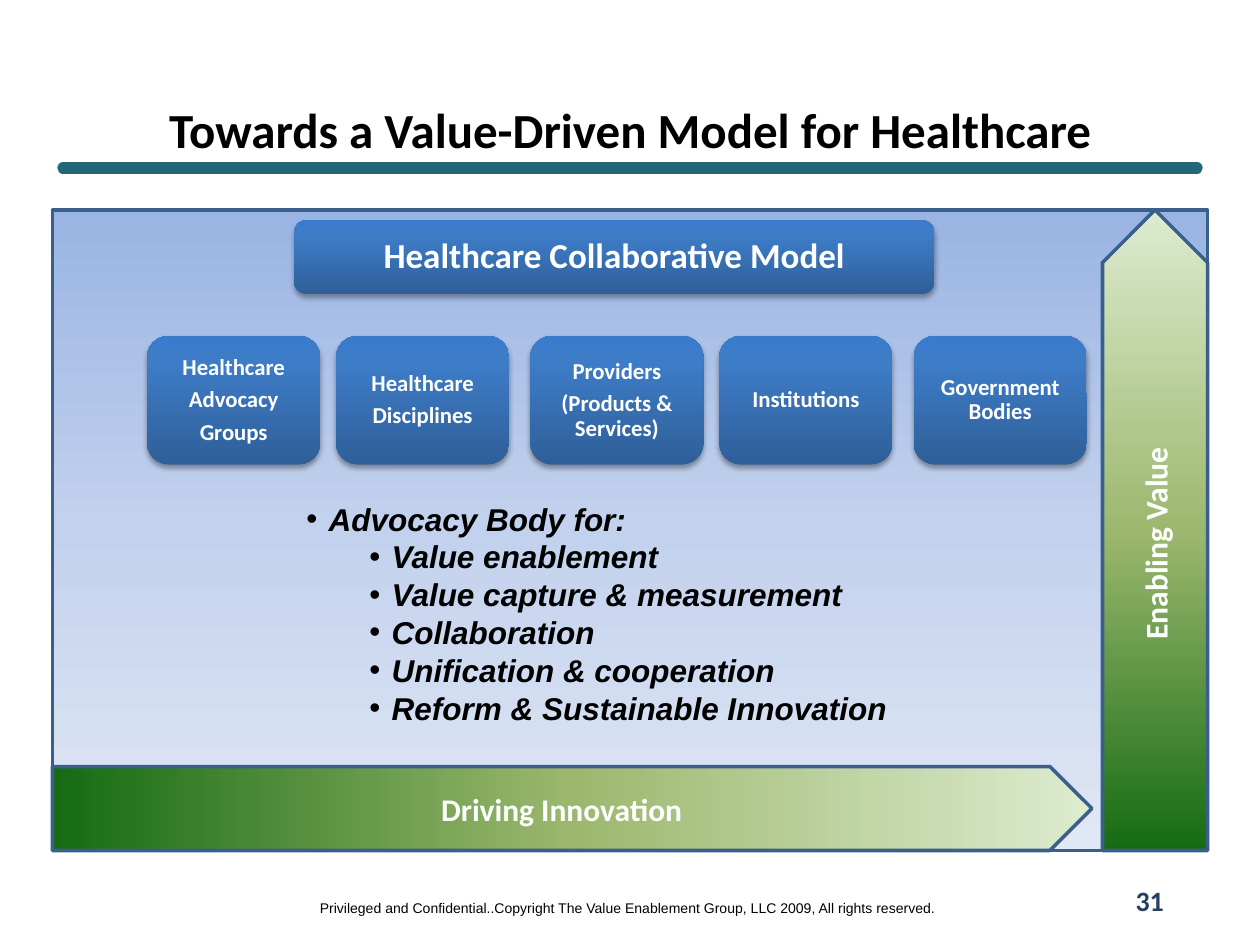
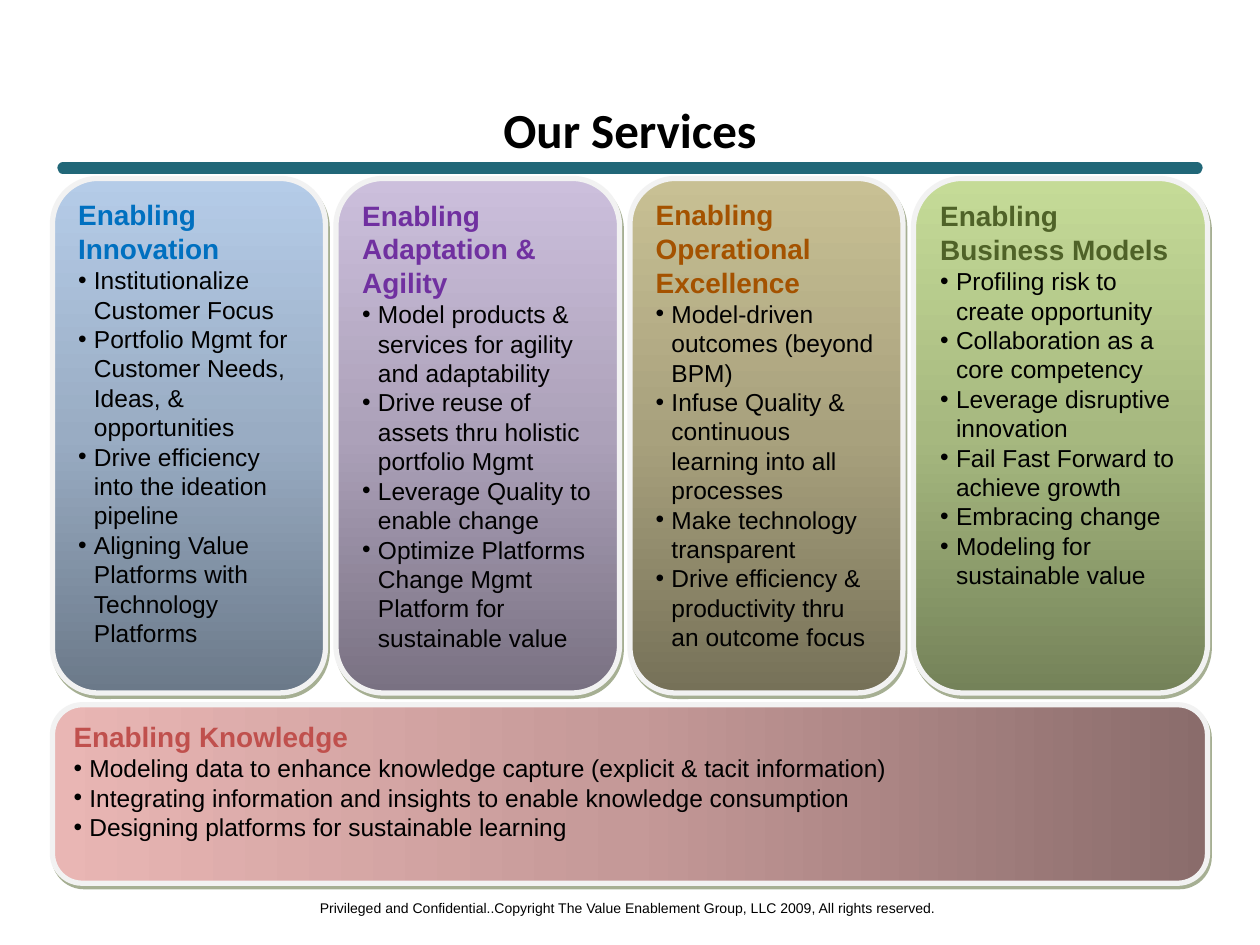
from lxml import etree
from pptx import Presentation
from pptx import util as u
from pptx.dml.color import RGBColor
from pptx.enum import shapes, text
from pptx.oxml.ns import nsdecls, qn

PX = 9525  # EMU in one px, 96 px to the inch

BLACK = RGBColor(0x00, 0x00, 0x00)
WHITE = RGBColor(0xFF, 0xFF, 0xFF)
TEAL = RGBColor(0x21, 0x67, 0x78)
NAVY = RGBColor(0x25, 0x40, 0x61)
OUTLINE = RGBColor(0x3A, 0x5F, 0x8C)
PALE_GREY = RGBColor(0xF2, 0xF2, 0xF2)
DARK_OLIVE = RGBColor(0x4E, 0x61, 0x28)
BLUE = RGBColor(0x00, 0x70, 0xC0)
PURPLE = RGBColor(0x70, 0x30, 0xA0)
BROWN = RGBColor(0xA4, 0x52, 0x00)
OLIVE = RGBColor(0x4F, 0x62, 0x28)
RED = RGBColor(0xC0, 0x50, 0x4D)


def ramp(*codes, middle=50):
    """Three gradient stops as (percent, colour)."""
    return list(zip((0, middle, 100), map(RGBColor.from_string, codes)))


PANEL_FILL = ramp("9AB5E4", "C2D1ED", "E1E8F5")
BUTTON_FILL = ramp("2F5F99", "3D7CC7", "3A7CCB", middle=80)
ARROW_FILL = ramp("DDEBCF", "9CB86E", "156B13")
BLUE_FILL = ramp("6B7989", "99ACC3", "B5CCE8")
PURPLE_FILL = ramp("797182", "ACA1B9", "CCBFDC")
BROWN_FILL = ramp("767158", "A8A17D", "C8C094")
GREEN_FILL = ramp("748259", "A6B87F", "C5DB97")
RED_FILL = ramp("8A6C6B", "C59998", "E9B6B4")

# Shadows: colour, opacity %, blur pt, distance pt, direction in degrees
BUTTON_SHADOW = (BLACK, 35, 3.1, 1.8, 90)
SERVICE_SHADOW = (DARK_OLIVE, 50, 0, 2.2, 63)

FOOTER = ("Privileged and Confidential..Copyright The Value Enablement Group, LLC 2009, "
          "All rights reserved.")

STAKEHOLDERS = [  # left, paragraphs
    (112, ["Healthcare", "Advocacy", "Groups"]),
    (256, ["Healthcare", "Disciplines"]),
    (404, ["Providers", "(Products & Services)"]),
    (548, ["Institutions"]),
    (696, ["Government Bodies"]),
]

ADVOCACY_GOALS = ["Value enablement", "Value capture & measurement", "Collaboration",
                  "Unification & cooperation", "Reform & Sustainable Innovation"]

SERVICES = [  # width, fill, heading colour, heading, points
    (208, BLUE_FILL, BLUE, "Enabling Innovation",
     ["Institutionalize Customer Focus",
      "Portfolio Mgmt for Customer Needs, Ideas, & opportunities",
      "Drive efficiency into the ideation pipeline",
      "Aligning Value Platforms with Technology Platforms"]),
    (216, PURPLE_FILL, PURPLE, "Enabling Adaptation & Agility",
     ["Model products & services for agility and adaptability",
      "Drive reuse of assets thru holistic portfolio Mgmt",
      "Leverage Quality to enable change",
      "Optimize Platforms Change Mgmt Platform for sustainable value"]),
    (208, BROWN_FILL, BROWN, "Enabling Operational Excellence",
     ["Model-driven outcomes (beyond BPM)",
      "Infuse Quality & continuous learning into all processes",
      "Make technology transparent",
      "Drive efficiency & productivity thru an outcome focus"]),
    (224, GREEN_FILL, OLIVE, "Enabling Business Models",
     ["Profiling risk to create opportunity", "Collaboration as a core competency",
      "Leverage disruptive innovation", "Fail Fast Forward to achieve growth",
      "Embracing change", "Modeling for sustainable value"]),
]

KNOWLEDGE_POINTS = [
    "Modeling data to enhance knowledge capture (explicit & tacit information)",
    "Integrating information and insights to enable knowledge consumption",
    "Designing platforms for sustainable learning",
]


def px(*lengths):
    return [u.Emu(length * PX) for length in lengths]


def add_bullet(paragraph, indent, hang):
    properties = paragraph._p.get_or_add_pPr()
    properties.set("marL", str(indent * PX))
    properties.set("indent", str(-hang * PX))
    etree.SubElement(properties, qn("a:buFont")).set("typeface", "Arial")
    etree.SubElement(properties, qn("a:buChar")).set("char", "•")


def write(shape, lines, size=18, color=BLACK, font="Arial", bold=False, italic=False,
          align=text.PP_ALIGN.LEFT, bullet=None, level=0, spacing=None, after=None):
    """Append one paragraph per line; bullet is (indent, hang) in px."""
    frame = shape.text_frame
    for line in lines:
        first = frame.paragraphs[0]
        paragraph = frame.add_paragraph() if first.runs else first
        if bullet:
            add_bullet(paragraph, *bullet)
        paragraph.level = level
        paragraph.alignment = align
        if spacing:
            paragraph.line_spacing = spacing
        if after:
            paragraph.space_after = u.Pt(after)
        run = paragraph.add_run()
        run.text = line
        run.font.name, run.font.size = font, u.Pt(size)
        run.font.bold, run.font.italic = bold, italic
        run.font.color.rgb = color


def set_gradient(shape, stops, angle):
    stop_xml = "".join(f'<a:gs pos="{percent * 1000}"><a:srgbClr val="{color}"/></a:gs>'
                       for percent, color in stops)
    gradient = etree.fromstring(
        f'<a:gradFill {nsdecls("a")} rotWithShape="1"><a:gsLst>{stop_xml}</a:gsLst>'
        f'<a:lin ang="{angle * 60000}" scaled="0"/></a:gradFill>')
    shape._element.spPr.find(qn("a:prstGeom")).addnext(gradient)


def set_shadow(shape, color, opacity, blur, distance, direction):
    effects = shape._element.spPr.find(qn("a:effectLst"))
    effects.append(etree.fromstring(
        f'<a:outerShdw {nsdecls("a")} blurRad="{u.Pt(blur)}" dist="{u.Pt(distance)}" '
        f'dir="{direction * 60000}" algn="ctr" rotWithShape="0"><a:srgbClr val="{color}">'
        f'<a:alpha val="{opacity * 1000}"/></a:srgbClr></a:outerShdw>'))


def add_block(slide, kind, box, stops, angle, line=None, shadow=None,
              anchor=text.MSO_ANCHOR.MIDDLE):
    """Gradient shape; line is (colour, points)."""
    shape = slide.shapes.add_shape(kind, *px(*box))
    set_gradient(shape, stops, angle)
    shape.shadow.inherit = False
    if shadow:
        set_shadow(shape, *shadow)
    if line:
        shape.line.color.rgb, shape.line.width = line[0], u.Pt(line[1])
    else:
        shape.line.fill.background()
    shape.text_frame.word_wrap = True
    shape.text_frame.vertical_anchor = anchor
    return shape


def add_text_box(slide, box, wrap=True, anchor=text.MSO_ANCHOR.TOP):
    shape = slide.shapes.add_textbox(*px(*box))
    shape.text_frame.word_wrap = wrap
    shape.text_frame.vertical_anchor = anchor
    return shape


def add_button(slide, box, lines, size):
    button = add_block(slide, shapes.MSO_SHAPE.ROUNDED_RECTANGLE, box, BUTTON_FILL, 270,
                       shadow=BUTTON_SHADOW)
    frame = button.text_frame
    frame.margin_left, frame.margin_top, frame.margin_right, frame.margin_bottom = px(5, 5, 5, 5)
    write(button, lines, size=size, color=WHITE, font="Calibri", bold=True,
          align=text.PP_ALIGN.CENTER, spacing=0.9, after=size * 0.35)


def add_arrow(slide, box, label, rotation=0):
    arrow = add_block(slide, shapes.MSO_SHAPE.PENTAGON, box, ARROW_FILL, 180, line=(OUTLINE, 2))
    arrow.rotation = rotation
    write(arrow, [label], color=WHITE, font="Calibri", bold=True, align=text.PP_ALIGN.CENTER)


def add_service(slide, box, stops, angle, color, heading, points):
    card = add_block(slide, shapes.MSO_SHAPE.FLOWCHART_ALTERNATE_PROCESS, box, stops, angle,
                     line=(PALE_GREY, 3), shadow=SERVICE_SHADOW, anchor=text.MSO_ANCHOR.TOP)
    write(card, [heading], size=16, color=color, bold=True)
    write(card, points, size=14, bullet=(12, 12), level=1)


def add_titled_slide(presentation, title_text):
    """Slide with the shared rule, footer and title."""
    slide = presentation.slides.add_slide(presentation.slide_layouts[5])

    rule = slide.shapes.add_connector(shapes.MSO_CONNECTOR.STRAIGHT, *px(48, 128, 912, 128))
    rule.line.color.rgb, rule.line.width = TEAL, u.Pt(6.5)
    rule.line._ln.set("cap", "rnd")
    etree.SubElement(rule._element.spPr, qn("a:effectLst"))

    footer = add_text_box(slide, (231, 681, 495, 23), wrap=False)
    footer.text_frame.auto_size = text.MSO_AUTO_SIZE.SHAPE_TO_FIT_TEXT
    write(footer, [FOOTER], size=8, align=text.PP_ALIGN.CENTER)

    title = slide.shapes.title
    title.left, title.top, title.width, title.height = px(48, 80, 864, 36)
    title.text_frame.auto_size = text.MSO_AUTO_SIZE.NONE
    title.text_frame.vertical_anchor = text.MSO_ANCHOR.MIDDLE
    write(title, [title_text], size=28, font="Calibri", bold=True, align=text.PP_ALIGN.CENTER)
    return slide


def build_model_slide(presentation):
    slide = add_titled_slide(presentation, "Towards a Value-Driven Model for Healthcare")
    add_block(slide, shapes.MSO_SHAPE.FLOWCHART_PROCESS, (40, 160, 880, 488), PANEL_FILL, 90,
              line=(OUTLINE, 2))

    # Model name and its stakeholders
    add_button(slide, (224, 168, 488, 56), ["Healthcare Collaborative Model"], 20)
    for left, lines in STAKEHOLDERS:
        add_button(slide, (left, 256, 132, 98), lines, 13)

    # Arrows along the bottom and right edges
    add_arrow(slide, (40, 584, 792, 64), "Driving Innovation")
    add_arrow(slide, (636, 364, 488, 80), "Enabling Value", rotation=270)

    # Advocacy list
    advocacy = add_text_box(slide, (224, 376, 504, 184))
    advocacy.text_frame.auto_size = text.MSO_AUTO_SIZE.SHAPE_TO_FIT_TEXT
    write(advocacy, ["Advocacy Body for:"], bold=True, italic=True, bullet=(17, 17))
    write(advocacy, ADVOCACY_GOALS, bold=True, italic=True, bullet=(65, 17), level=1)

    number = add_text_box(slide, (840, 667, 72, 38), anchor=text.MSO_ANCHOR.MIDDLE)
    write(number, ["31"], size=16, color=NAVY, font="Calibri", bold=True,
          align=text.PP_ALIGN.CENTER)


def build_services_slide(presentation):
    slide = add_titled_slide(presentation, "Our Services")
    left, gap = 40, 8
    for width, stops, color, heading, points in SERVICES:
        add_service(slide, (left, 136, width, 392), stops, 270, color, heading, points)
        left += width + gap
    add_service(slide, (40, 537, 880, 136), RED_FILL, 180, RED, "Enabling Knowledge",
                KNOWLEDGE_POINTS)


def main():
    presentation = Presentation()
    presentation.slide_width, presentation.slide_height = px(960, 720)
    build_model_slide(presentation)
    build_services_slide(presentation)
    presentation.save("out.pptx")


if __name__ == "__main__":
    main()
